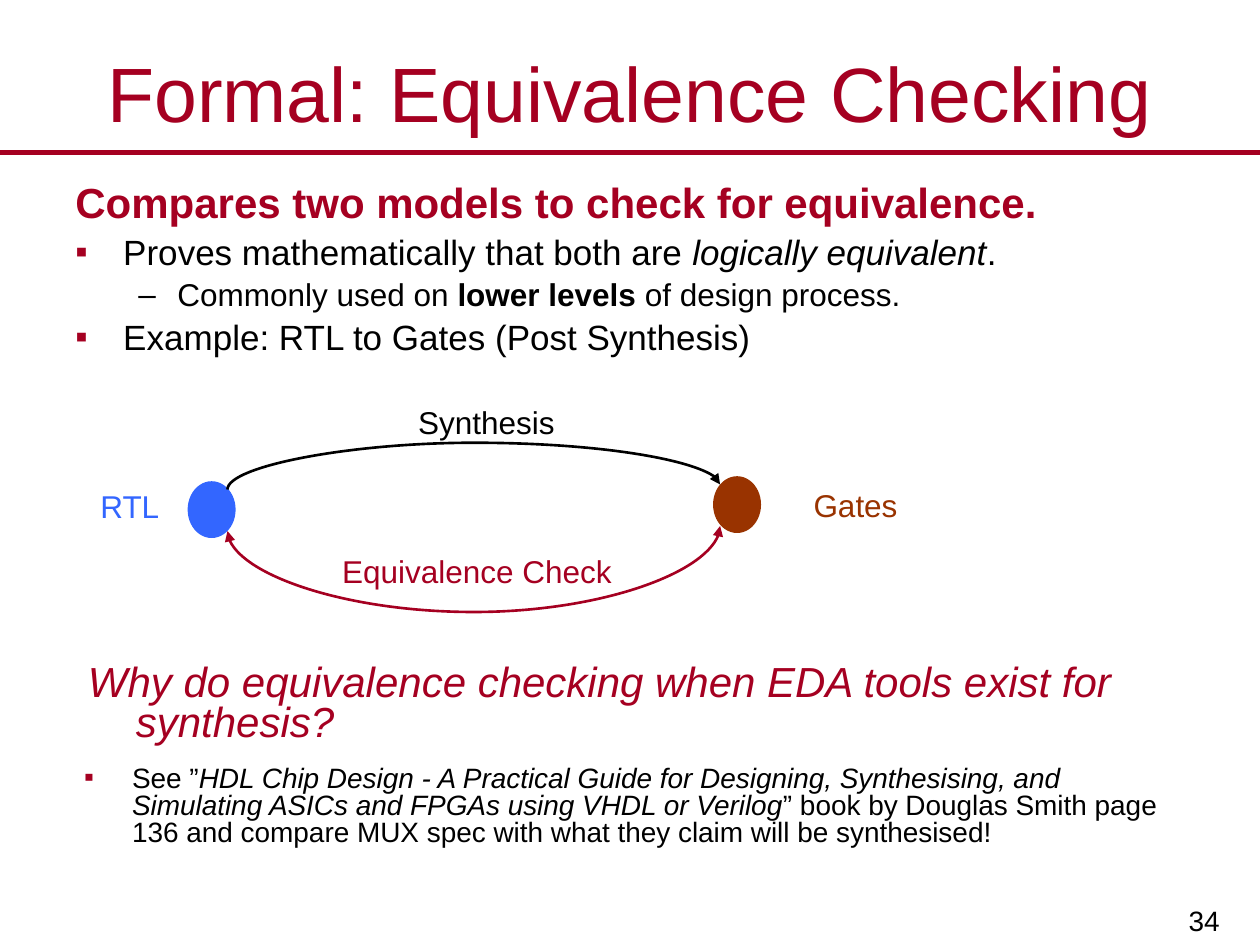
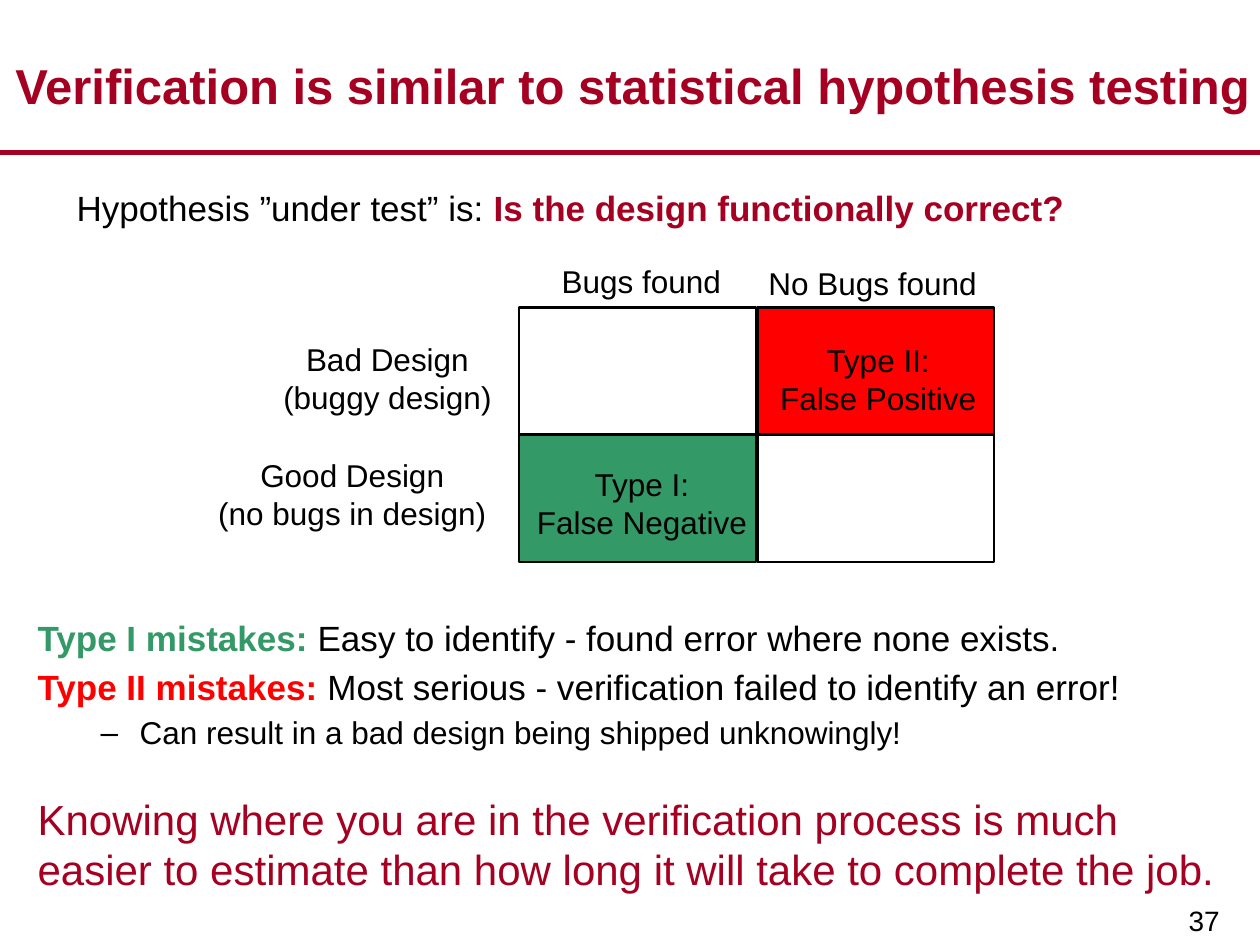
from dataclasses import dataclass, field

from lxml.etree import SubElement
from pptx import Presentation
from pptx.dml.color import RGBColor
from pptx.enum.shapes import MSO_CONNECTOR, MSO_SHAPE
from pptx.enum.text import MSO_ANCHOR, MSO_AUTO_SIZE, PP_ALIGN
from pptx.oxml.ns import qn
from pptx.util import Inches, Pt

RED = RGBColor(0xA5, 0x00, 0x21)
BLACK = RGBColor(0x00, 0x00, 0x00)
BLUE = RGBColor(0x33, 0x66, 0xFF)
BROWN = RGBColor(0x99, 0x33, 0x00)
GREEN = RGBColor(0x33, 0x99, 0x66)
ALERT = RGBColor(0xFF, 0x00, 0x00)
FACE = "Arial"


@dataclass
class Run:
    text: str
    color: RGBColor = BLACK
    bold: bool = False
    italic: bool = False


@dataclass
class Para:
    runs: list[Run]
    size: float = 20
    bullet: str = ""
    left: float = 0.38
    hang: float = 0.38
    before: float | None = None
    format: dict = field(default_factory=dict)


@dataclass
class Box:
    left: float
    top: float
    width: float
    height: float

    def spot(self) -> tuple:
        return tuple(map(Inches, (self.left, self.top, self.width, self.height)))


@dataclass
class Label:
    lines: list[str]
    box: Box
    color: RGBColor = BLACK


@dataclass
class Curve:
    """A bowed link from the left node to the right node."""
    box: Box
    turn: int
    flips: tuple
    bend: float
    sites: tuple
    color: RGBColor
    heads: tuple


def apply(target, values: dict) -> None:
    for name, value in values.items():
        setattr(target, name, value)


def set_bullet(para, item: Para) -> None:
    props = para._p.get_or_add_pPr()
    props.set("marL", str(Inches(item.left)))
    props.set("indent", str(-Inches(item.hang)))
    if not item.bullet:
        SubElement(props, qn("a:buNone"))
        return
    if item.bullet == "▪":
        tint = SubElement(props, qn("a:buClr"))
        SubElement(tint, qn("a:srgbClr"), val=str(RED))
    SubElement(props, qn("a:buFont"), typeface=FACE)
    SubElement(props, qn("a:buChar"), char=item.bullet)


def fill_text(frame, items: list[Para], values: dict) -> None:
    apply(frame, {"word_wrap": True, "auto_size": MSO_AUTO_SIZE.NONE, **values})
    for spot, item in enumerate(items):
        para = frame.paragraphs[0] if spot == 0 else frame.add_paragraph()
        set_bullet(para, item)
        gap = item.size * 0.2 if item.before is None else item.before
        apply(para, {"space_before": Pt(gap if spot else 0), **item.format})
        for part in item.runs:
            run = para.add_run()
            run.text = part.text
            apply(run.font, {"name": FACE, "size": Pt(item.size),
                             "bold": part.bold, "italic": part.italic})
            run.font.color.rgb = part.color


def add_text(slide, box: Box, items: list[Para], **values) -> None:
    fill_text(slide.shapes.add_textbox(*box.spot()).text_frame, items, values)


def add_label(slide, label: Label) -> None:
    items = [Para([Run(line, label.color)], 18, left=0, hang=0, before=0,
                  format={"alignment": PP_ALIGN.CENTER}) for line in label.lines]
    add_text(slide, label.box, items, word_wrap=False)


def add_shape(slide, kind: MSO_SHAPE, box: Box, fill: RGBColor | None, edge: RGBColor):
    shape = slide.shapes.add_shape(kind, *box.spot())
    shape.shadow.inherit = False
    if fill is None:
        shape.fill.background()
    else:
        shape.fill.solid()
        shape.fill.fore_color.rgb = fill
    shape.line.color.rgb = edge
    shape.line.width = Pt(1.5)
    return shape


def add_line(slide, kind: MSO_CONNECTOR, ends: tuple, color: RGBColor, width: float):
    line = slide.shapes.add_connector(kind, *map(Inches, ends))
    line.line.color.rgb = color
    line.line.width = Pt(width)
    SubElement(line._element.spPr, qn("a:effectLst"))
    return line


def add_curve(slide, curve: Curve, nodes: list) -> None:
    line = add_line(slide, MSO_CONNECTOR.CURVE, (0, 0, 1, 1), curve.color, 1.5)
    places = zip(("left", "top", "width", "height"), curve.box.spot())
    apply(line, {**dict(places), "rotation": curve.turn})
    props = line._element.spPr
    for flip in curve.flips:
        props.find(qn("a:xfrm")).set(flip, "1")
    bow = round(curve.bend / curve.box.width * 100000)
    guides = props.find(qn("a:prstGeom")).find(qn("a:avLst"))
    SubElement(guides, qn("a:gd"), name="adj1", fmla=f"val {bow}")
    for head in curve.heads:
        SubElement(props.find(qn("a:ln")), qn(f"a:{head}"), type="triangle", w="med", len="med")
    links = line._element.find(qn("p:nvCxnSpPr")).find(qn("p:cNvCxnSpPr"))
    for tag, node, site in zip(("stCxn", "endCxn"), nodes, curve.sites):
        SubElement(links, qn(f"a:{tag}"), id=str(node.shape_id), idx=str(site))


def add_slide(deck, title: Run, size: float, box: Box, number: int):
    """Start a slide with its title, red rule and number."""
    slide = deck.slides.add_slide(deck.slide_layouts[5])
    head = slide.shapes.title
    apply(head, dict(zip(("left", "top", "width", "height"), box.spot())))
    fill_text(head.text_frame,
              [Para([title], size, left=0, hang=0, format={"alignment": PP_ALIGN.CENTER})],
              {"vertical_anchor": MSO_ANCHOR.MIDDLE, "margin_left": 0, "margin_right": 0})
    add_line(slide, MSO_CONNECTOR.STRAIGHT, (0, 1.21, 10, 1.21), RED, 3)
    add_text(slide, Box(7.8, 6.93, 1.99, 0.57),
             [Para([Run(str(number))], 16, left=0, hang=0, format={"alignment": PP_ALIGN.RIGHT})],
             vertical_anchor=MSO_ANCHOR.BOTTOM, margin_right=Inches(0.11),
             margin_bottom=Inches(0.06))
    return slide


def draw_check(deck) -> None:
    slide = add_slide(deck, Run("Formal: Equivalence Checking", RED), 44,
                      Box(0, 0.3, 10, 0.86), 34)
    snug, tight = {"line_spacing": 0.9}, {"line_spacing": 0.8}
    add_text(slide, Box(0.5, 1.4, 9, 1.66), [
        Para([Run("Compares two models to check for equivalence.", RED, bold=True)],
             24, format=snug),
        Para([Run("Proves mathematically that both are "),
              Run("logically equivalent", italic=True), Run(".")], bullet="▪", format=snug),
        Para([Run("Commonly used on "), Run("lower levels ", bold=True),
              Run("of design process.")], 18, "–", 0.81, 0.31, format=snug),
        Para([Run("Example: RTL to Gates (Post Synthesis)")], bullet="▪", format=snug),
    ])
    nodes = [add_shape(slide, MSO_SHAPE.OVAL, Box(left, top, 0.36, 0.43), color, color)
             for left, top, color in ((1.5, 3.83, BLUE), (5.67, 3.79, BROWN))]
    for curve in (
        Curve(Box(3.74, 1.91, 0.04, 3.91), 270, (), 0.37, (7, 1), BLACK, ("tailEnd",)),
        Curve(Box(3.74, 2.24, 0.04, 3.91), 90, ("flipH", "flipV"), -0.64, (5, 3), RED,
              ("headEnd", "tailEnd")),
    ):
        add_curve(slide, curve, nodes)
    for label in (
        Label(["Equivalence Check"], Box(2.29, 4.33, 2.99, 0.4), RED),
        Label(["Synthesis"], Box(2.64, 3.15, 2.44, 0.4)),
        Label(["RTL"], Box(0.49, 3.82, 1.08, 0.4), BLUE),
        Label(["Gates"], Box(6.15, 3.81, 1.28, 0.4), BROWN),
    ):
        add_label(slide, label)
    add_text(slide, Box(0.6, 5.23, 9, 0.79), [
        Para([Run("Why do equivalence checking when EDA tools exist for synthesis?",
                  RED, italic=True)], 24, format=tight)])
    add_text(slide, Box(0.57, 6.04, 9, 0.8), [
        Para([Run("See ”"),
              Run("HDL Chip Design - A Practical Guide for Designing, Synthesising, and "
                  "Simulating ASICs and FPGAs using VHDL or Verilog", italic=True),
              Run("” book by Douglas Smith page 136 and compare MUX spec with what they "
                  "claim will be synthesised!")], 16, "▪", format=tight)])


def draw_test(deck) -> None:
    slide = add_slide(
        deck, Run("Verification is similar to statistical hypothesis testing", RED, bold=True),
        28, Box(0.04, 0.24, 9.96, 0.86), 37)
    add_text(slide, Box(0.51, 1.43, 9, 0.9), [
        Para([Run("Hypothesis ”under test” is: "),
              Run("Is the design functionally correct?", RED, bold=True)])])
    for row, fills in enumerate(((None, ALERT), (GREEN, None))):
        for col, fill in enumerate(fills):
            cell = Box(4.12 + 1.89 * col, 2.44 + 1.01 * row, 1.88, 1.01)
            add_shape(slide, MSO_SHAPE.RECTANGLE, cell, fill, BLACK)
    for label in (
        Label(["Bugs found"], Box(4.35, 2.03, 1.48, 0.4)),
        Label(["No Bugs found"], Box(5.99, 2.05, 1.87, 0.4)),
        Label(["Bad Design", "(buggy design)"], Box(2.14, 2.65, 1.87, 0.71)),
        Label(["Good Design", "(no bugs in design)"], Box(1.62, 3.57, 2.35, 0.71)),
        Label(["Type II:", "False Positive"], Box(6.09, 2.66, 1.76, 0.7)),
        Label(["Type I:", "False Negative"], Box(4.16, 3.64, 1.87, 0.7)),
    ):
        add_label(slide, label)
    add_text(slide, Box(0.2, 4.84, 9.58, 2.18), [
        Para([Run("Type I mistakes: ", GREEN, bold=True),
              Run("Easy to identify - found error where none exists.")]),
        Para([Run("Type II mistakes: ", ALERT, bold=True),
              Run("Most serious - verification failed to identify an error!")]),
        Para([Run("Can result in a bad design being shipped unknowingly!")],
             18, "–", 0.81, 0.31),
        Para([Run("Knowing where you are in the verification process is much easier to "
                  "estimate than how long it will take to complete the job.", RED)],
             24, left=0, hang=0, before=24),
    ])


def main() -> None:
    deck = Presentation()
    apply(deck, {"slide_width": Inches(10), "slide_height": Inches(7.5)})
    draw_check(deck)
    draw_test(deck)
    deck.save("out.pptx")


if __name__ == "__main__":
    main()
